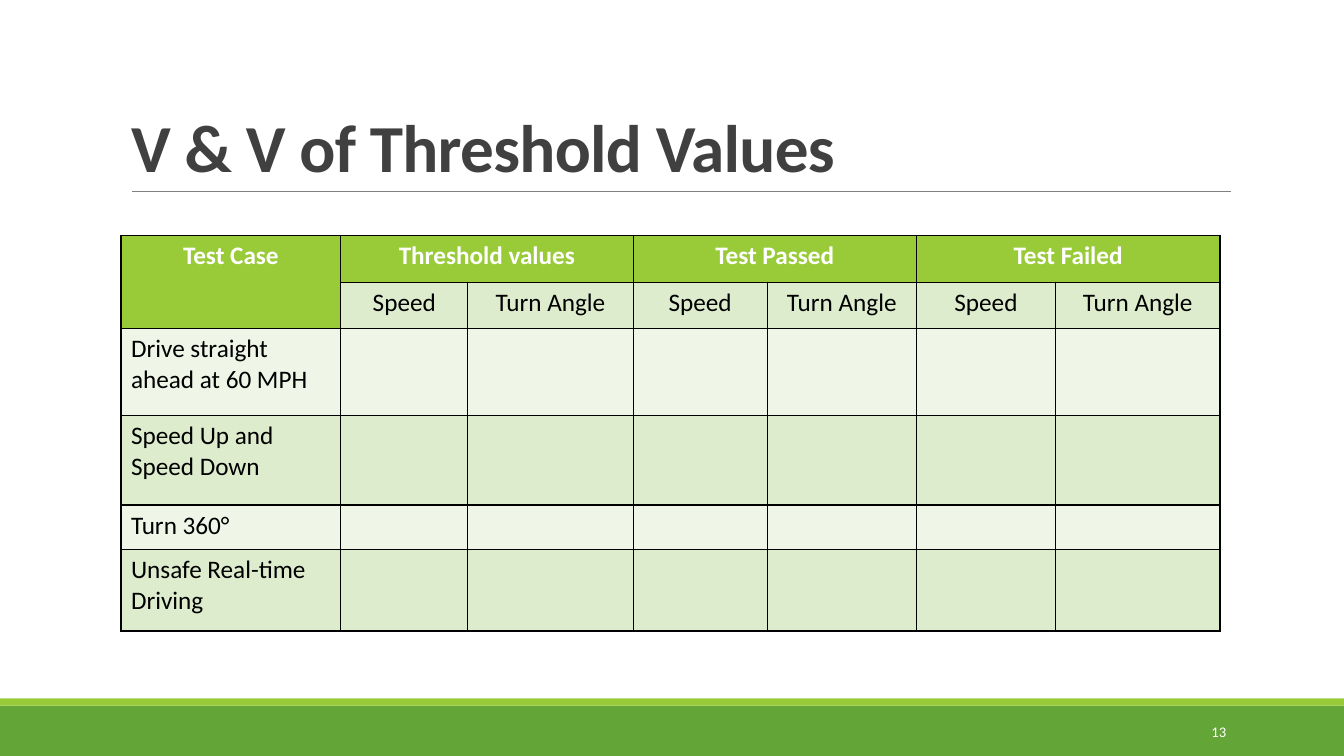
from dataclasses import dataclass

from lxml import etree
from pptx import Presentation
from pptx import util as u
from pptx.dml.color import RGBColor
from pptx.enum import shapes, text
from pptx.oxml import ns


@dataclass(frozen=True)
class Theme:
    font: str = "Calibri"
    title_size: float = 48
    table_size: float = 18
    number_size: float = 10.5
    title: str = "404040"
    ink: str = "000000"
    light: str = "FFFFFF"
    rule: str = "808080"
    footer: str = "63A537"
    accent: str = "99CB38"
    band_dark: str = "DEECCE"
    band_light: str = "EFF6E8"


class SlideBuilder:
    def __init__(self, slide, theme):
        self.slide = slide
        self.theme = theme

    def add_text(self, paragraph, words, size, color, bold=False, align=text.PP_ALIGN.LEFT):
        paragraph.alignment = align
        run = paragraph.add_run()
        run.text = words
        run.font.name = self.theme.font
        run.font.size = u.Pt(size)
        run.font.bold = bold
        run.font.color.rgb = RGBColor.from_string(color)
        return run

    def bar(self, box, color):
        shape = self.slide.shapes.add_shape(shapes.MSO_SHAPE.RECTANGLE, *map(u.Inches, box))
        shape.shadow.inherit = False
        shape.fill.solid()
        shape.fill.fore_color.rgb = RGBColor.from_string(color)
        shape.line.fill.background()

    def rule(self, start, end, color, width):
        line = self.slide.shapes.add_connector(
            shapes.MSO_CONNECTOR.STRAIGHT, *map(u.Inches, start + end))
        line.line.color.rgb = RGBColor.from_string(color)
        line.line.width = u.Pt(width)
        etree.SubElement(line._element.spPr, ns.qn("a:effectLst"))

    def title(self, words, box):
        shape = self.slide.shapes.title
        shape.left, shape.top, shape.width, shape.height = map(u.Inches, box)
        frame = shape.text_frame
        frame.word_wrap = True
        frame.auto_size = text.MSO_AUTO_SIZE.NONE
        frame.vertical_anchor = text.MSO_ANCHOR.BOTTOM
        paragraph = frame.paragraphs[0]
        paragraph.line_spacing = 0.85
        run = self.add_text(paragraph, words, self.theme.title_size, self.theme.title, bold=True)
        run._r.get_or_add_rPr().set("spc", "-50")

    def page_number(self, words, box):
        frame = self.slide.shapes.add_textbox(*map(u.Inches, box)).text_frame
        frame.word_wrap = True
        frame.vertical_anchor = text.MSO_ANCHOR.MIDDLE
        self.add_text(frame.paragraphs[0], words, self.theme.number_size, self.theme.light,
                      align=text.PP_ALIGN.RIGHT)

    def style_cell(self, cell, color):
        properties = cell._tc.get_or_add_tcPr()
        for side in ("lnL", "lnR", "lnT", "lnB"):
            border = etree.SubElement(properties, ns.qn(f"a:{side}"), w=str(u.Pt(1)))
            fill = etree.SubElement(border, ns.qn("a:solidFill"))
            etree.SubElement(fill, ns.qn("a:srgbClr"), val=self.theme.ink)
        cell.fill.solid()
        cell.fill.fore_color.rgb = RGBColor.from_string(color)

    def table(self, origin, columns, rows, groups, measures, cases):
        theme = self.theme
        size = (sum(columns), sum(rows))
        table = self.slide.shapes.add_table(
            len(rows), len(columns), *map(u.Inches, origin + size)).table
        for column, width in zip(table.columns, columns):
            column.width = u.Inches(width)
        for row, height in zip(table.rows, rows):
            row.height = u.Inches(height)

        for row in range(len(rows)):
            for column in range(len(columns)):
                is_header = row == 0 or (row == 1 and column == 0)
                band = theme.band_dark if row % 2 else theme.band_light
                self.style_cell(table.cell(row, column), theme.accent if is_header else band)

        def fill_in(row, column, words, color=theme.ink, **style):
            paragraph = table.cell(row, column).text_frame.paragraphs[0]
            self.add_text(paragraph, words, theme.table_size, color, **style)

        header = {"color": theme.light, "bold": True, "align": text.PP_ALIGN.CENTER}
        table.cell(0, 0).merge(table.cell(1, 0))
        fill_in(0, 0, "Test Case", **header)
        for index, group in enumerate(groups):
            first = 1 + index * len(measures)
            table.cell(0, first).merge(table.cell(0, first + len(measures) - 1))
            fill_in(0, first, group, **header)
            for offset, measure in enumerate(measures):
                fill_in(1, first + offset, measure, align=text.PP_ALIGN.CENTER)
        for row, case in enumerate(cases, start=2):
            fill_in(row, 0, case)


def main():
    presentation = Presentation()
    presentation.slide_width = u.Inches(13.33)
    presentation.slide_height = u.Inches(7.5)
    theme = Theme()
    slide = presentation.slides.add_slide(presentation.slide_layouts[5])
    builder = SlideBuilder(slide, theme)

    builder.bar((0, 7, 13.33, 0.5), theme.footer)
    builder.bar((0, 6.93, 13.33, 0.07), theme.accent)
    builder.rule((1.31, 1.9), (12.21, 1.9), theme.rule, 0.5)
    builder.title("V & V of Threshold Values", (1.2, 0.31, 11, 1.59))
    builder.table(
        origin=(1.2, 2.34),
        columns=(2.18, 1.26, 1.64, 1.33, 1.48, 1.38, 1.63),
        rows=(0.46, 0.46, 0.86, 0.89, 0.44, 0.81),
        groups=("Threshold values", "Test Passed", "Test Failed"),
        measures=("Speed", "Turn Angle"),
        cases=("Drive straight ahead at 60 MPH", "Speed Up and Speed Down",
               "Turn 360°", "Unsafe Real-time Driving"),
    )
    builder.page_number("13", (10.83, 7.06, 1.43, 0.4))
    presentation.save("out.pptx")


if __name__ == "__main__":
    main()
